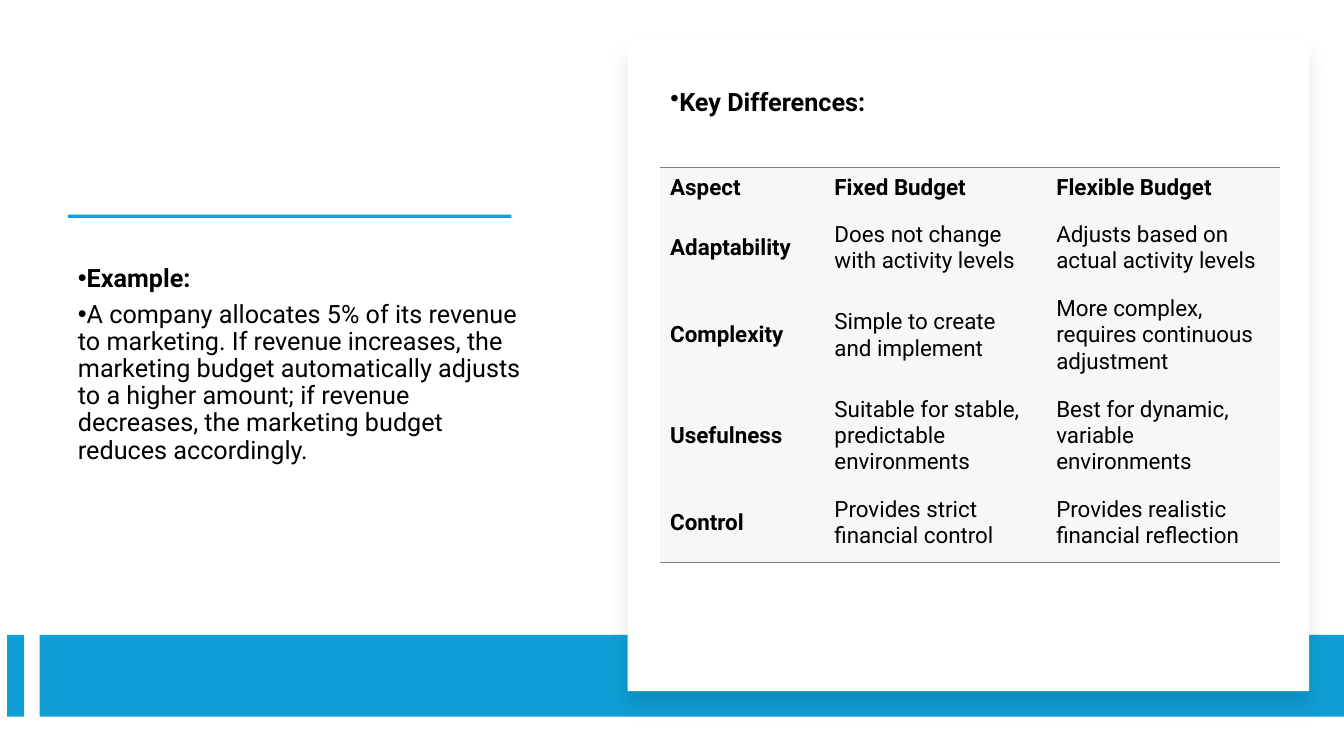
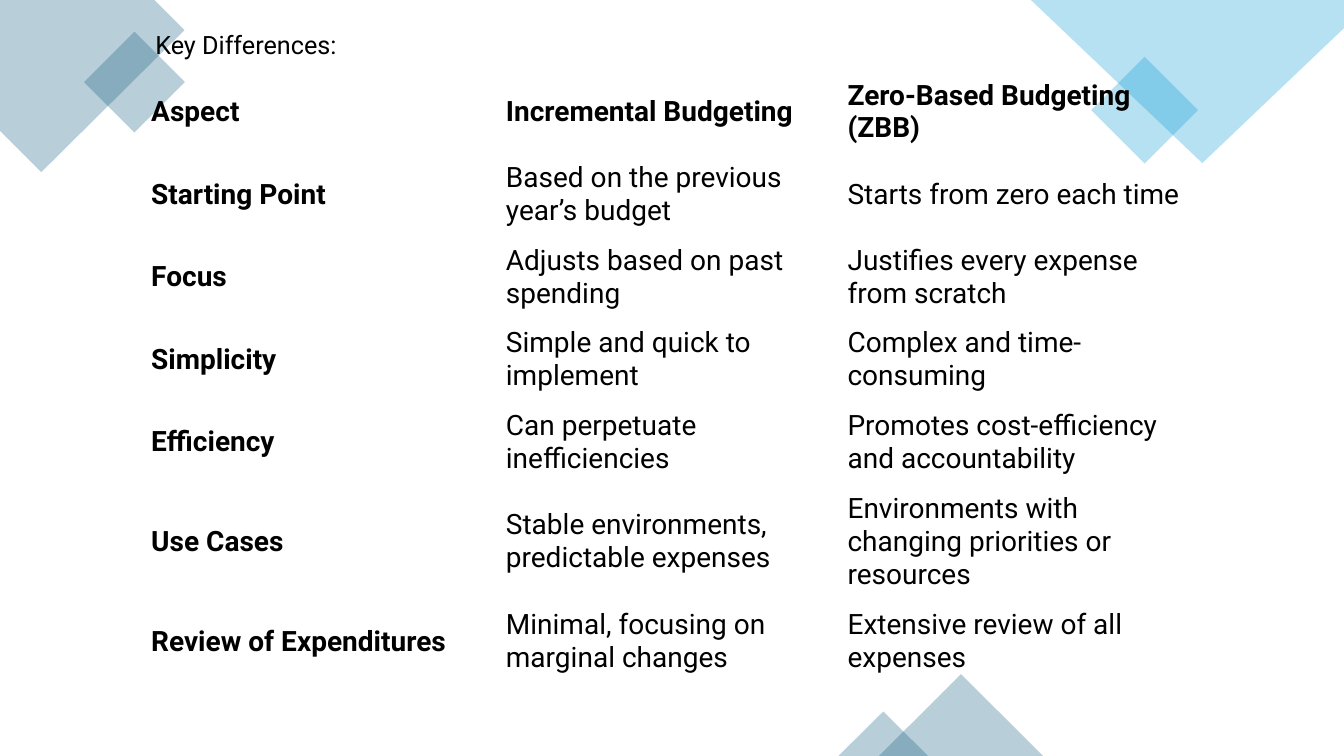
import pptx
import pptx.dml.color
import pptx.enum.shapes
import pptx.enum.text
import pptx.oxml.ns
import pptx.util
from lxml import etree

Cm, Pt, qn = pptx.util.Cm, pptx.util.Pt, pptx.oxml.ns.qn
KIND = pptx.enum.shapes.MSO_SHAPE
MID = pptx.enum.text.MSO_ANCHOR.MIDDLE
TOP = pptx.enum.text.MSO_ANCHOR.TOP

FONT = "Roboto"
COLOR = {"text": "000000", "blue": "0F9ED5", "teal": "156082",
         "card": "FFFFFF", "cell": "F7F7F7", "edge": "808080"}
WIDE, HIGH = 33.87, 19.05
NO_STYLE = "{2D5ABB26-0587-4C30-8999-92F81FD0307C}"

HEAD = "Key Differences:"
CASE = [
    ("Example:", True),
    ("A company allocates 5% of its revenue to marketing. If revenue increases, "
     "the marketing budget automatically adjusts to a higher amount; if revenue "
     "decreases, the marketing budget reduces accordingly.", False),
]
FLEX = {
    "rows": [
        ("Aspect", "Fixed Budget", "Flexible Budget"),
        ("Adaptability", "Does not change with activity levels",
         "Adjusts based on actual activity levels"),
        ("Complexity", "Simple to create and implement",
         "More complex, requires continuous adjustment"),
        ("Usefulness", "Suitable for stable, predictable environments",
         "Best for dynamic, variable environments"),
        ("Control", "Provides strict financial control",
         "Provides realistic financial reflection"),
    ],
    "left": 16.64, "top": 4.22, "size": 16, "fill": "cell", "edge": "edge",
    "widths": [4.14, 5.59, 5.89], "heights": [1.17, 1.85, 2.54, 2.54, 1.85],
    "pads": (0.25, 0.13, 0.25, 0.25),
}
ZERO = {
    "rows": [
        ("Aspect", "Incremental Budgeting", "Zero-Based Budgeting (ZBB)"),
        ("Starting Point", "Based on the previous year’s budget",
         "Starts from zero each time"),
        ("Focus", "Adjusts based on past spending",
         "Justifies every expense from scratch"),
        ("Simplicity", "Simple and quick to implement",
         "Complex and time-consuming"),
        ("Efficiency", "Can perpetuate inefficiencies",
         "Promotes cost-efficiency and accountability"),
        ("Use Cases", "Stable environments, predictable expenses",
         "Environments with changing priorities or resources"),
        ("Review of Expenditures", "Minimal, focusing on marginal changes",
         "Extensive review of all expenses"),
    ],
    "left": 3.53, "top": 1.78, "size": 20, "fill": None, "edge": None,
    "widths": [8.94, 8.61, 9.25], "heights": [2.08] * 5 + [2.95, 2.08],
    "pads": (0.28, 0.15, 0.28, 0.15),
}
BARS = [(1.71, 5.41, 11.18, 0.08), (0.18, 16, 0.43, 2.06), (1, 16, WIDE - 1, 2.06)]
CARD = (15.82, 0.99, 17.17, 16.43)
SHARDS = [
    ("teal", [(3.89, 0), (0, 0), (0, 3.3), (1.04, 4.34), (4.65, 0.76)]),
    ("blue", [(WIDE, 0), (25.98, 0), (30.3, 4.11), (WIDE, 0.71)]),
]
GEMS = [
    (KIND.DIAMOND, "teal", (2.12, 0.8, 2.54, 2.54)),
    (KIND.DIAMOND, "blue", (27.5, 1.43, 2.69, 2.69)),
    (KIND.ISOSCELES_TRIANGLE, "teal", (22.15, HIGH - 2.06, 4.14, 2.06)),
    (KIND.ISOSCELES_TRIANGLE, "teal", (21.13, HIGH - 1.12, 2.26, 1.12)),
]


def paint(fill, name):
    fill.solid()
    fill.fore_color.rgb = pptx.dml.color.RGBColor.from_string(COLOR[name])


def finish(shape, name, alpha=None):
    shape.shadow.inherit = False
    paint(shape.fill, name)
    shape.line.fill.background()
    if alpha:
        tint = shape.element.spPr.find(qn("a:solidFill")).find(qn("a:srgbClr"))
        etree.SubElement(tint, qn("a:alpha"), val=str(alpha * 1000))


def draw(slide, kind, box, name, alpha=None):
    shape = slide.shapes.add_shape(kind, *map(Cm, box))
    finish(shape, name, alpha)
    return shape


def shade(shape):
    glow = shape.element.spPr.find(qn("a:effectLst"))
    cast = etree.SubElement(glow, qn("a:outerShdw"), blurRad=str(Pt(15)),
                            dist=str(Pt(11)), dir="5400000", rotWithShape="0")
    tint = etree.SubElement(cast, qn("a:srgbClr"), val=COLOR["text"])
    etree.SubElement(tint, qn("a:alpha"), val="10000")


def write(para, text, size, bold):
    run = para.add_run()
    run.text = text
    run.font.name, run.font.size, run.font.bold = FONT, Pt(size), bold
    paint(run.font.fill, "text")


def list_in(holder, box, items, anchor, dots=True):
    holder.left, holder.top, holder.width, holder.height = map(Cm, box)
    frame = holder.text_frame
    frame.word_wrap = True
    frame.auto_size = pptx.enum.text.MSO_AUTO_SIZE.NONE
    frame.vertical_anchor = anchor
    for i, (text, bold) in enumerate(items):
        para = frame.add_paragraph() if i else frame.paragraphs[0]
        para.alignment = pptx.enum.text.PP_ALIGN.LEFT
        para.space_before = Pt(0)
        if dots:
            para.line_spacing, para.space_after = 0.9, Pt(6)
            props = para._p.get_or_add_pPr()
            props.set("marL", "0")
            props.set("indent", str(-Cm(0.64)))
            etree.SubElement(props, qn("a:buChar"), char="•")
        write(para, text, 18, bold)


def title(slide, box, bold, dots):
    head = slide.shapes.title
    list_in(head, box, [(HEAD, bold)], TOP, dots)
    slide.shapes.element.append(head.element)


def border(cell, side, name):
    line = etree.Element(qn("a:" + side), w=str(Pt(1)))
    fill = etree.SubElement(line, qn("a:solidFill"))
    etree.SubElement(fill, qn("a:srgbClr"), val=COLOR[name])
    cell._tc.get_or_add_tcPr().insert(0, line)


def grid(slide, data):
    rows, widths, heights = data["rows"], data["widths"], data["heights"]
    box = data["left"], data["top"], sum(widths), sum(heights)
    table = slide.shapes.add_table(len(rows), len(widths), *map(Cm, box)).table
    table.first_row = table.horz_banding = False
    table._tbl.tblPr.find(qn("a:tableStyleId")).text = NO_STYLE
    for col, width in zip(table.columns, widths):
        col.width = Cm(width)
    for r, (row, height) in enumerate(zip(rows, heights)):
        table.rows[r].height = Cm(height)
        for c, text in enumerate(row):
            cell = table.cell(r, c)
            cell.vertical_anchor = MID
            (cell.margin_left, cell.margin_top,
             cell.margin_right, cell.margin_bottom) = map(Cm, data["pads"])
            if data["fill"]:
                paint(cell.fill, data["fill"])
            else:
                cell.fill.background()
            if data["edge"] and r in (0, len(rows) - 1):
                border(cell, "lnB" if r else "lnT", data["edge"])
            write(cell.text_frame.paragraphs[0], text, data["size"], r == 0 or c == 0)


def flex_slide(deck):
    slide = deck.slides.add_slide(deck.slide_layouts[1])
    list_in(slide.placeholders[1], (1.71, 4.77, 11.88, 8.86), CASE, MID)
    for box in BARS:
        draw(slide, KIND.RECTANGLE, box, "blue")
    shade(draw(slide, KIND.RECTANGLE, CARD, "card"))
    grid(slide, FLEX)
    title(slide, (16.64, 2.13, 16.92, 0.97), True, True)


def zero_slide(deck):
    slide = deck.slides.add_slide(deck.slide_layouts[5])
    for name, points in SHARDS:
        first, *rest = [tuple(map(Cm, point)) for point in points]
        shard = slide.shapes.build_freeform(*first)
        shard.add_line_segments(rest, close=True)
        finish(shard.convert_to_shape(), name, 30)
    for kind, name, box in GEMS:
        draw(slide, kind, box, name, 30)
    grid(slide, ZERO)
    title(slide, (3.66, 0.61, 16.94, 1.02), False, False)


def main():
    deck = pptx.Presentation()
    deck.slide_width, deck.slide_height = Cm(WIDE), Cm(HIGH)
    flex_slide(deck)
    zero_slide(deck)
    deck.save("out.pptx")


if __name__ == "__main__":
    main()
